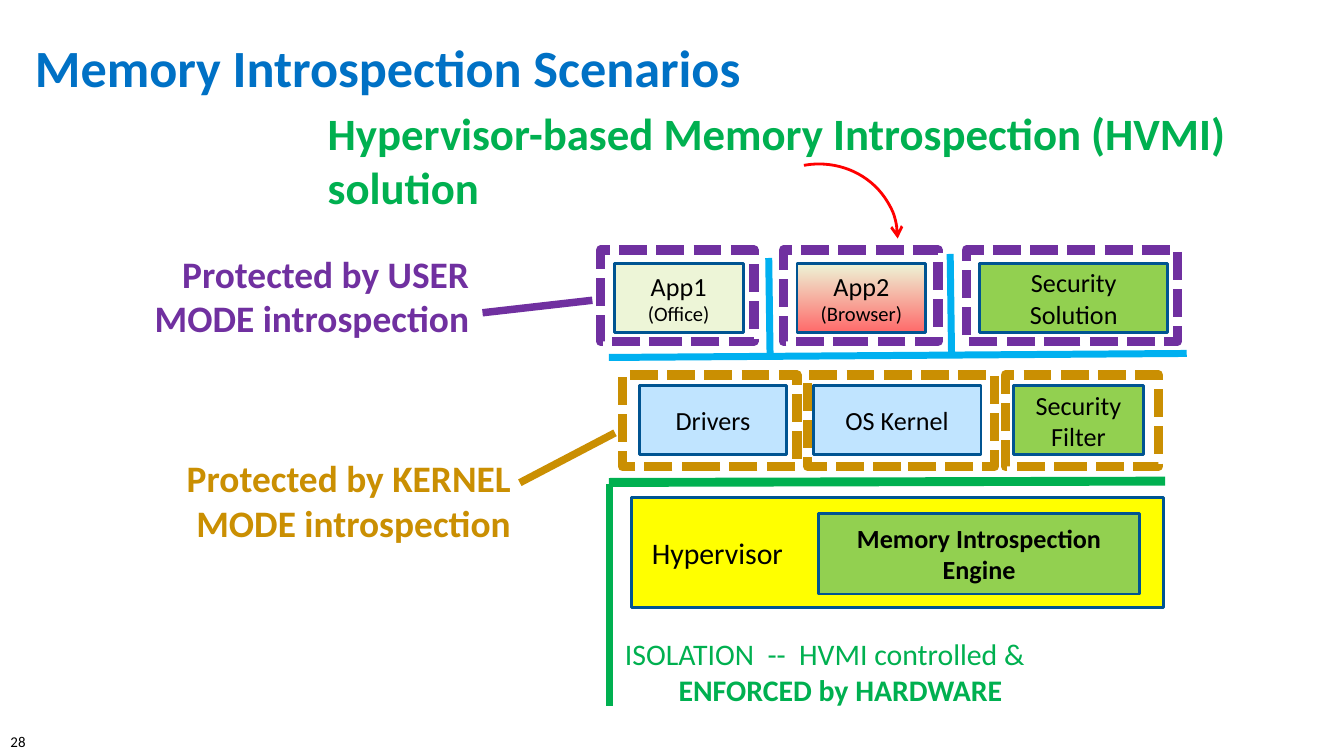
from lxml import etree
from pptx import Presentation
from pptx import util as u
from pptx.dml.color import RGBColor
from pptx.enum import dml, shapes, text
from pptx.oxml.ns import qn

# The slide is a grid of square cells, ten to the inch
COLUMNS, ROWS = 100, 56.25
BLACK, PURPLE, OCHRE, GREEN = "000000", "7030A0", "CA8F02", "00B050"
SKY, NAVY, LIME, PALE_BLUE, PALE_GREEN = "00B0F0", "005492", "92D050", "C0E4FF", "EDF5D7"
LEFT, CENTER, RIGHT = text.PP_ALIGN.LEFT, text.PP_ALIGN.CENTER, text.PP_ALIGN.RIGHT
MIDDLE, TOP = text.MSO_ANCHOR.MIDDLE, text.MSO_ANCHOR.TOP
SHAPE = shapes.MSO_SHAPE


def cells(*counts):
    return [u.Inches(count / 10) for count in counts]


def color(hex_string):
    return RGBColor.from_string(hex_string)


def stroke(line, hue, width, dash=None):
    line.color.rgb = color(hue)
    line.width = u.Pt(width)
    if dash:
        line.dash_style = dash


def write(holder, lines, size, hue=BLACK, bold=False, align=CENTER, anchor=MIDDLE,
          side=1.0, wrap=True):
    """Each line is a paragraph; side is the left and right inset in cells."""
    frame = holder.text_frame
    frame.word_wrap, frame.vertical_anchor = wrap, anchor
    frame.margin_left = frame.margin_right = cells(side)[0]
    for number, line in enumerate(lines):
        paragraph = frame.paragraphs[0] if number == 0 else frame.add_paragraph()
        paragraph.text, paragraph.alignment = line, align
        font = paragraph.font
        font.name, font.size, font.bold = "Calibri", u.Pt(size), bold
        font.color.rgb = color(hue)
    return frame


def add_text(slide, box, lines, size, **style):
    return write(slide.shapes.add_textbox(*cells(*box)), lines, size, **style)


def add_shape(slide, kind, box, hue, width, fill=None, dash=None):
    shape = slide.shapes.add_shape(kind, *cells(*box))
    shape.shadow.inherit = False
    if fill:
        shape.fill.solid()
        shape.fill.fore_color.rgb = color(fill)
    else:
        shape.fill.background()
    stroke(shape.line, hue, width, dash)
    return shape


def add_line(slide, start, end, hue, width):
    line = slide.shapes.add_connector(shapes.MSO_CONNECTOR.STRAIGHT, *cells(*start, *end))
    stroke(line.line, hue, width)
    etree.SubElement(line._element.spPr, qn("a:effectLst"))


def add_callout(slide, box, hue, pointer):
    callout = add_shape(slide, SHAPE.LINE_CALLOUT_1_NO_BORDER, box, hue, 4)
    for number, share in enumerate(pointer):
        callout.adjustments[number] = share
    return callout


def add_headings(slide, box):
    left, top, width, height = box
    title = add_text(slide, (left, top, width, 5.9), ["Memory Introspection Scenarios"], 28,
                     hue="0071C5", bold=True, align=LEFT, side=0.5)
    title.margin_top = title.margin_bottom = cells(0.3)[0]
    title.paragraphs[0].line_spacing = 0.9
    add_text(slide, (left + 21.3, top + 5.1, 73.3, height - 5.1),
             ["Hypervisor-based Memory Introspection (HVMI) solution"], 24,
             hue=GREEN, bold=True, align=LEFT, anchor=TOP)


def add_layer(slide, box, hue, inset, parts):
    """A row of dashed frames, each around one labelled component."""
    left, top, height = box
    components = []
    for start, width, *_ in parts:
        add_shape(slide, SHAPE.RECTANGLE, (left + start, top, width, height), hue, 5,
                  dash=dml.MSO_LINE.SQUARE_DOT)
    for _, _, start, width, fill, label in parts:
        component = add_shape(slide, SHAPE.RECTANGLE,
                              (left + start, top + inset, width, 5.15), NAVY, 1.5, fill)
        name, _, example = label.partition("|")
        frame = write(component, [name], 14, side=0)
        if example:
            paragraph = frame.paragraphs[0]
            paragraph.add_line_break()
            run = paragraph.add_run()
            run.text, run.font.size = example, u.Pt(11)
        components.append(component)
    return components


def add_user_layer(slide, box):
    left, top, height = box
    _, browser, _ = add_layer(slide, box, PURPLE, 1, [
        (0, 11.4, 1, 9.6, PALE_GREEN, "App1|(Office)"),
        (13.6, 11.5, 14.6, 9.6, PALE_GREEN, "App2|(Browser)"),
        (27.2, 15.7, 28.2, 14, LIME, "Security\vSolution")])
    browser.fill.gradient()
    browser.fill.gradient_angle = 270
    for stop, position, hue in zip(browser.fill.gradient_stops, (0, 1), (PALE_GREEN, "FF6969")):
        stop.position, stop.color.rgb = position, color(hue)
    # Separators between the apps and below them
    floor = top + height + 1.2
    add_line(slide, (left + 0.6, floor), (left + 43.6, floor - 0.3), SKY, 3.75)
    for column, foot in ((12.6, floor), (26.1, floor - 0.3)):
        add_line(slide, (left + column, foot), (left + column - 0.1, foot - 7.4), SKY, 3.75)


def add_kernel_layer(slide, box):
    add_layer(slide, box, OCHRE, 0.8, [
        (0, 13, 1.3, 10.9, PALE_BLUE, "Drivers"),
        (13.8, 13.9, 14.2, 12.5, PALE_BLUE, "OS Kernel"),
        (28.5, 11.4, 29.1, 9.7, LIME, "Security\vFilter")])


def add_hypervisor(slide, box):
    left, top, width, height = box
    add_line(slide, (left - 1.7, top - 1.1), (left + width + 0.1, top - 1.2), GREEN, 4.75)
    hypervisor = add_shape(slide, SHAPE.RECTANGLE, box, NAVY, 1.5, "FFFF00")
    write(hypervisor, ["Hypervisor"], 16, align=LEFT, side=1.5)
    engine = add_shape(slide, SHAPE.RECTANGLE, (left + 13.9, top + 1.2, 23.9, height - 2.2),
                       NAVY, 1.5, LIME)
    write(engine, ["Memory Introspection Engine"], 14, bold=True, side=0)


def add_isolation_note(slide, box):
    note = add_callout(slide, box, GREEN, (0.88, -0.03, -1.62, -0.03))
    frame = write(note, ["ISOLATION  --  HVMI controlled &", "ENFORCED by HARDWARE"], 16,
                  hue=GREEN, align=LEFT, side=0)
    enforced = frame.paragraphs[1]
    enforced.font.bold = True
    enforced._p.get_or_add_pPr().set("marL", str(cells(4)[0]))


def add_attack_arrow(slide, box):
    arrow = add_shape(slide, SHAPE.ARC, box, "FF0000", 1.5)
    arrow.adjustments[0], arrow.adjustments[1] = 154.98, 0
    etree.SubElement(arrow.line._get_or_add_ln(), qn("a:tailEnd"), type="arrow")


def add_protection_label(slide, box, hue, label, pointer):
    write(add_callout(slide, box, hue, pointer), [label], 20, hue=hue, bold=True, align=RIGHT)


def main():
    deck = Presentation()
    deck.slide_width, deck.slide_height = cells(COLUMNS, ROWS)
    slide = deck.slides.add_slide(deck.slide_layouts[6])

    add_text(slide, (-0.2, 54, 3.4, 2.4), ["28"], 8, align=LEFT, anchor=TOP, wrap=False)
    add_headings(slide, (2.1, 2.3, 92.9, 14.2))
    # Software stack, from the apps down to the hardware
    add_user_layer(slide, (44.7, 18.6, 6.8))
    add_kernel_layer(slide, (46.3, 27.9, 6.8))
    add_hypervisor(slide, (47, 37, 39.6, 8.2))
    add_isolation_note(slide, (46.5, 46.7, 38.4, 6.6))
    add_attack_arrow(slide, (55.1, 12.2, 11.7, 11.1))
    # What protects each layer
    add_protection_label(slide, (6.7, 16.2, 29.2, 11.6), PURPLE,
                         "Protected by USER MODE introspection", (0.61, 1, 0.53, 1.28))
    add_protection_label(slide, (6.8, 31.4, 32.2, 11.6), OCHRE,
                         "Protected by KERNEL MODE introspection", (0.39, 0.99, 0.07, 1.21))
    deck.save("out.pptx")


if __name__ == "__main__":
    main()
